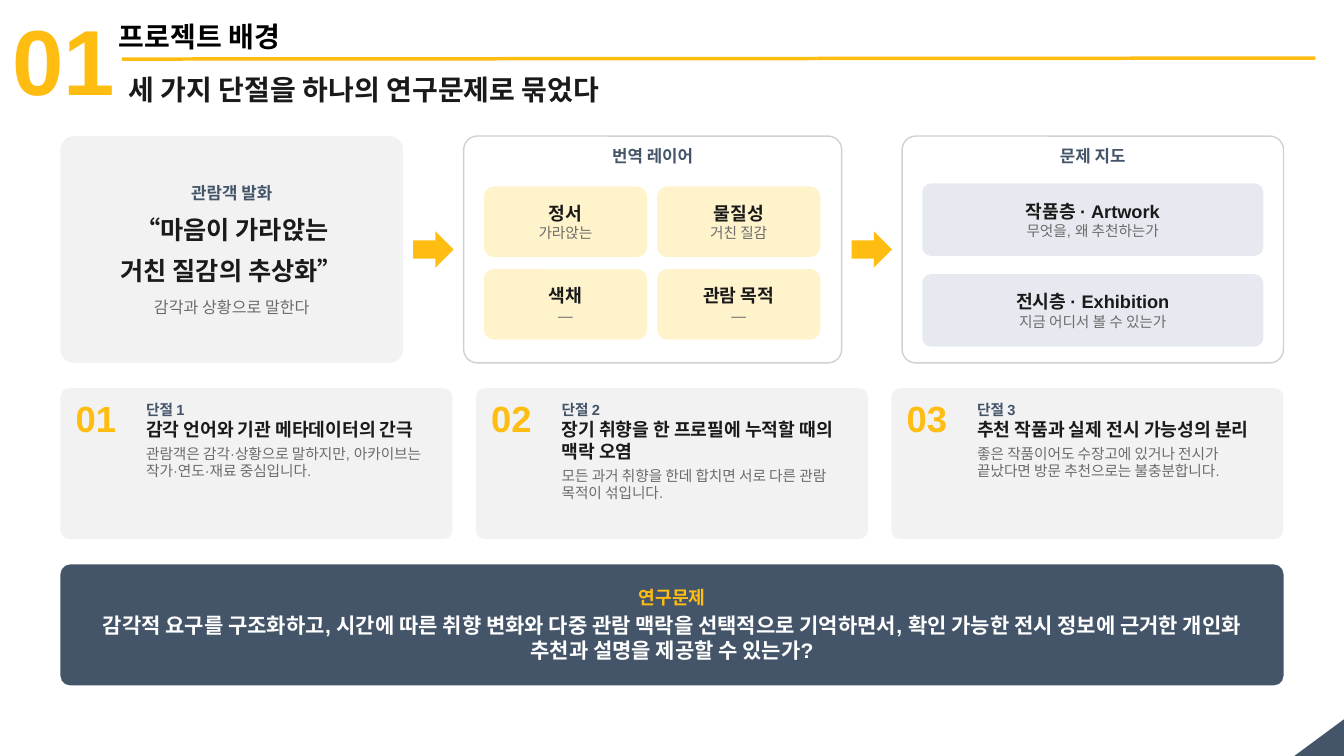
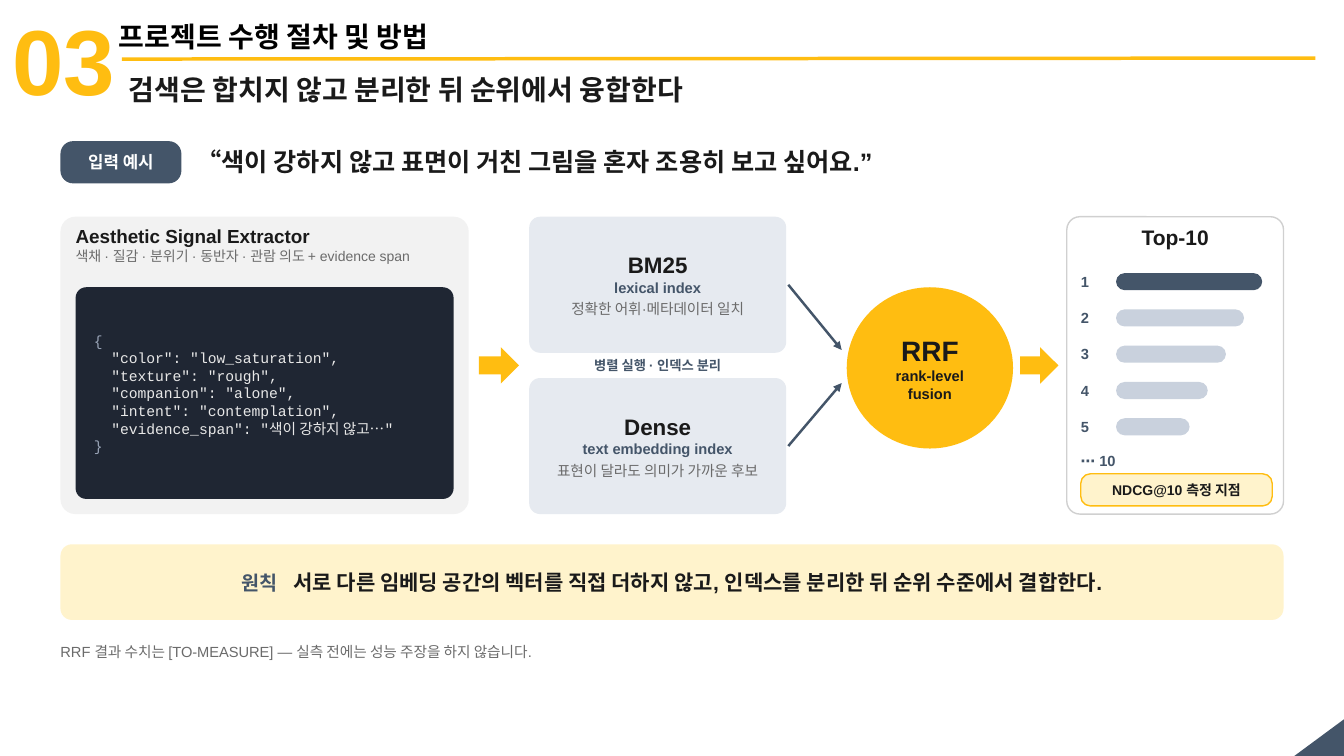
from lxml.etree import SubElement
from pptx import Presentation
from pptx.dml.color import RGBColor
from pptx.enum.shapes import MSO_CONNECTOR, MSO_SHAPE
from pptx.enum.text import MSO_ANCHOR, PP_ALIGN
from pptx.oxml.ns import qn
from pptx.util import Pt

THEME = {
    "colors": {
        "gold": "FFBD11", "navy": "445569", "ink": "1A1A1A", "black": "000000",
        "gray": "6B6B6B", "white": "FFFFFF", "panel": "F2F2F2", "border": "D0D0D0",
        "cream": "FFF3CC", "mist": "E6EAF0", "bar": "C9D1DD", "code": "1F2633",
        "brace": "9AA5B8", "code_text": "E8E8E8",
    },
    "styles": {
        "number": (66, "gold", True), "title": (20, "black", True),
        "headline": (20, "ink", True), "label": (12, "navy", True),
        "quote": (18, "ink", True), "quote_note": (11.5, "gray", False),
        "item": (13, "ink", True), "note": (10.5, "gray", False),
        "card_number": (26, "gold", True), "tag": (10.5, "navy", True),
        "question_tag": (13, "gold", True), "question": (15, "white", True),
        "pill": (12, "white", True), "extractor": (13.5, "ink", True),
        "signals": (10, "gray", False), "brace": (10.5, "brace", False),
        "code": (10.5, "code_text", False), "index": (16, "ink", True),
        "split": (9.5, "navy", True), "fusion": (10.5, "ink", True),
        "rank_title": (15, "ink", True), "metric": (10, "ink", True),
        "principle_tag": (14, "navy", True), "principle": (15, "ink", True),
    },
    "fonts": {"brace": "Courier New", "code": "Courier New"},
    "font": "Arial",
}

LEFT, WIDTH, GAP = 43.2, 873.6, 43.2
ARROW_W, ARROW_H = 28.8, 26

BACKGROUND = {
    "number": "01",
    "title": "프로젝트 배경",
    "headline": "세 가지 단절을 하나의 연구문제로 묶었다",
    "speech": [("관람객 발화", "label", 8), ("“마음이 가라앉는", "quote", 8),
               ("거친 질감의 추상화”", "quote", 8),
               ("감각과 상황으로 말한다", "quote_note")],
    "layer_title": "번역 레이어",
    "layers": [("정서", "가라앉는"), ("물질성", "거친 질감"), ("색채", "—"), ("관람 목적", "—")],
    "map_title": "문제 지도",
    "maps": [("작품층 · Artwork", "무엇을, 왜 추천하는가"),
             ("전시층 · Exhibition", "지금 어디서 볼 수 있는가")],
    "breaks": [
        ("감각 언어와 기관 메타데이터의 간극",
         "관람객은 감각·상황으로 말하지만, 아카이브는 작가·연도·재료 중심입니다."),
        ("장기 취향을 한 프로필에 누적할 때의 맥락 오염",
         "모든 과거 취향을 한데 합치면 서로 다른 관람 목적이 섞입니다."),
        ("추천 작품과 실제 전시 가능성의 분리",
         "좋은 작품이어도 수장고에 있거나 전시가 끝났다면 방문 추천으로는 불충분합니다."),
    ],
    "question": [
        ("연구문제", "question_tag", 3),
        ("감각적 요구를 구조화하고, 시간에 따른 취향 변화와 다중 관람 맥락을 선택적으로 기억하면서, "
         "확인 가능한 전시 정보에 근거한 개인화 추천과 설명을 제공할 수 있는가?", "question"),
    ],
}

METHOD = {
    "number": "03",
    "title": "프로젝트 수행 절차 및 방법",
    "headline": "검색은 합치지 않고 분리한 뒤 순위에서 융합한다",
    "input_tag": "입력 예시",
    "input": "“색이 강하지 않고 표면이 거친 그림을 혼자 조용히 보고 싶어요.”",
    "extractor": [("Aesthetic Signal Extractor", "extractor"),
                  ("색채 · 질감 · 분위기 · 동반자 · 관람 의도 + evidence span", "signals")],
    "code": [("{", "brace"),
             ('  "color": "low_saturation",', "code"),
             ('  "texture": "rough",', "code"),
             ('  "companion": "alone",', "code"),
             ('  "intent": "contemplation",', "code"),
             ('  "evidence_span": "색이 강하지 않고…"', "code"),
             ("}", "brace")],
    "indexes": [("BM25", "lexical index", "정확한 어휘·메타데이터 일치"),
                ("Dense", "text embedding index", "표현이 달라도 의미가 가까운 후보")],
    "split": "병렬 실행 · 인덱스 분리",
    "fusion": [("RRF", "headline"), ("rank-level", "fusion"), ("fusion", "fusion")],
    "rank_title": "Top-10",
    "ranks": 5,
    "rank_end": "⋯ 10",
    "metric": "NDCG@10 측정 지점",
    "principle": [("원칙", "principle_tag"), (" ", "principle_tag", 8),
                  ("서로 다른 임베딩 공간의 벡터를 직접 더하지 않고, "
                   "인덱스를 분리한 뒤 순위 수준에서 결합한다.", "principle")],
    "footnote": "RRF 결과 수치는 [TO-MEASURE] — 실측 전에는 성능 주장을 하지 않습니다.",
}


def color(name):
    return RGBColor.from_string(THEME["colors"][name])


def add_run(p, text, style, spacing=0):
    size, tone, bold = THEME["styles"][style]
    r = p.add_run()
    r.text = text
    font = {"size": Pt(size), "bold": bold, "name": THEME["fonts"].get(style, THEME["font"])}
    for key, value in font.items():
        setattr(r.font, key, value)
    r.font.color.rgb = color(tone)
    if spacing:
        r.font._element.set("spc", str(spacing * 100))


def write(sp, paras, align, anchor, inset):
    tf = sp.text_frame
    frame = {"word_wrap": True, "vertical_anchor": anchor, "margin_left": Pt(inset),
             "margin_right": Pt(inset), "margin_top": Pt(2), "margin_bottom": Pt(2)}
    for key, value in frame.items():
        setattr(tf, key, value)
    for i, (content, style, *after) in enumerate(paras):
        p = tf.paragraphs[0] if i == 0 else tf.add_paragraph()
        p.alignment = align
        p.space_after = Pt(after[0] if after else 0)
        for run in content if isinstance(content, list) else [(content, style)]:
            add_run(p, *run)


def box(s, x, y, w, h, fill, paras=(), radius=None, line=None, kind=MSO_SHAPE.ROUNDED_RECTANGLE,
        align=PP_ALIGN.CENTER, inset=4):
    sp = s.shapes.add_shape(kind, Pt(x), Pt(y), Pt(w), Pt(h))
    sp.shadow.inherit = False
    sp.fill.solid()
    sp.fill.fore_color.rgb = color(fill)
    if line:
        sp.line.color.rgb = color(line)
        sp.line.width = Pt(1)
    else:
        sp.line.fill.background()
    if radius is not None:
        sp.adjustments[0] = radius
    write(sp, paras, align, MSO_ANCHOR.MIDDLE, inset)
    return sp


def label(s, x, y, w, h, paras, align=PP_ALIGN.LEFT, anchor=MSO_ANCHOR.TOP):
    sp = s.shapes.add_textbox(Pt(x), Pt(y), Pt(w), Pt(h))
    write(sp, paras, align, anchor, 0)


def connect(s, x1, y1, x2, y2, tone, width, head=False):
    c = s.shapes.add_connector(MSO_CONNECTOR.STRAIGHT, Pt(x1), Pt(y1), Pt(x2), Pt(y2))
    c.line.color.rgb = color(tone)
    c.line.width = Pt(width)
    if head:
        SubElement(c.line._get_or_add_ln(), qn("a:tailEnd"), type="triangle")
    SubElement(c._element.spPr, qn("a:effectLst"))


def flow_arrow(s, x, middle, w=ARROW_W):
    box(s, x, middle - ARROW_H / 2, w, ARROW_H, "gold", kind=MSO_SHAPE.RIGHT_ARROW)


def new_slide(prs, data):
    s = prs.slides.add_slide(prs.slide_layouts[6])
    corner = box(s, 928.8, 509, 26.6, 36, "navy", kind=MSO_SHAPE.RIGHT_TRIANGLE)
    corner.rotation = 270
    label(s, 8.6, 0, 82, 84, [(data["number"], "number")])
    label(s, 85, 11.7, 490, 28, [(data["title"], "title")])
    connect(s, 87, 42.2, 939.6, 41.5, "gold", 2.5)
    label(s, 92, 50, 840, 28, [(data["headline"], "headline")])
    return s


def background_slide(prs, data):
    s = new_slide(prs, data)
    top, height = 97.2, 162
    widths = [244.8, 270, 272.4]
    speech_x, layer_x, map_x = [LEFT + sum(widths[:i]) + GAP * i for i in range(3)]
    box(s, speech_x, top, widths[0], height, "panel", data["speech"], 0.06)
    for x, w, title in ((layer_x, widths[1], data["layer_title"]),
                        (map_x, widths[2], data["map_title"])):
        flow_arrow(s, x - (GAP + ARROW_W) / 2, top + height / 2)
        box(s, x, top, w, height, "white", radius=0.06, line="border")
        label(s, x, top + 5, w, 25, [(title, "label")], PP_ALIGN.CENTER)
    for i, (name, note) in enumerate(data["layers"]):
        row, col = divmod(i, 2)
        box(s, layer_x + 14.4 + col * 123.8, 133.2 + row * 59, 116.6, 50.4, "cream",
            [(name, "item"), (note, "note")], 0.15, inset=2)
    for i, (name, note) in enumerate(data["maps"]):
        box(s, map_x + 14.4, 131 + i * 64.8, widths[2] - 28.8, 51.8, "mist",
            [(name, "item"), (note, "note")], 0.12)

    card_gap, card_top = 16.8, 277.2
    card_w = (WIDTH - 2 * card_gap) / 3
    for i, (name, note) in enumerate(data["breaks"]):
        x = LEFT + i * (card_w + card_gap)
        box(s, x, card_top, card_w, 108, "panel", radius=0.06)
        label(s, x + 10.8, card_top + 3.6, 50, 50, [(f"{i + 1:02}", "card_number")])
        label(s, x + 61.2, card_top + 7.2, 212.4, 97,
              [(f"단절 {i + 1}", "tag"), (name, "item", 3), (note, "note")])
    box(s, LEFT, 403.2, WIDTH, 86.4, "navy", data["question"], 0.08, inset=21.6)


def method_slide(prs, data):
    s = new_slide(prs, data)
    box(s, LEFT, 100.8, 86.4, 30.2, "navy", [(data["input_tag"], "pill")], 0.3)
    label(s, 140.4, 95.8, 770, 39.6, [(data["input"], "quote")], anchor=MSO_ANCHOR.MIDDLE)

    top, height = 154.8, 212.4
    middle = top + height / 2
    extractor_w, index_w, index_h = 291.6, 183.6, 97.2
    index_x = LEFT + extractor_w + GAP
    box(s, LEFT, top, extractor_w, height, "panel", radius=0.05)
    label(s, LEFT + 10.8, top + 3.6, 273.6, 39.6, data["extractor"])
    box(s, LEFT + 10.8, 205.2, extractor_w - 21.6, 151.2, "code", data["code"], 0.05,
        align=PP_ALIGN.LEFT, inset=10.8)
    flow_arrow(s, index_x - (GAP + ARROW_W) / 2, middle)

    tips = [250, 273.6]
    for i, (name, kind, note) in enumerate(data["indexes"]):
        y = top + i * (height - index_h)
        box(s, index_x, y, index_w, index_h, "mist",
            [(name, "index"), (kind, "tag", 3), (note, "note")], 0.08)
        connect(s, index_x + index_w + 1.5, y + index_h / 2, 601.2, tips[i], "navy", 1.75, True)
    label(s, index_x, middle - 11, index_w, 21.6, [(data["split"], "split")],
          PP_ALIGN.CENTER, MSO_ANCHOR.MIDDLE)
    box(s, 604.8, 205.2, 118.8, 115.2, "gold", data["fusion"], kind=MSO_SHAPE.OVAL, inset=0)
    flow_arrow(s, 728.6, middle, 27.4)

    rank_w = 154.8
    rank_x = LEFT + WIDTH - rank_w
    inner_x = rank_x + 10
    box(s, rank_x, top, rank_w, height, "white", radius=0.06, line="border")
    label(s, rank_x, top + 3.6, rank_w, 27.4, [(data["rank_title"], "rank_title")],
          PP_ALIGN.CENTER)
    for i in range(data["ranks"]):
        y = 190.8 + i * 25.92
        label(s, inner_x, y, 25.2, 20.2, [(str(i + 1), "tag")], anchor=MSO_ANCHOR.MIDDLE)
        box(s, inner_x + 25.2, y + 4.3, 104.4 - i * 12.96, 12.2, "bar" if i else "navy",
            radius=0.5)
    label(s, inner_x, 320.4, 136.8, 18, [(data["rank_end"], "tag")])
    box(s, inner_x, 338.4, 136.8, 23, "cream", [(data["metric"], "metric")], 0.3, "gold")

    box(s, LEFT, 388.8, WIDTH, 54, "cream", [(data["principle"], "principle")], 0.15, inset=14.4)
    label(s, LEFT, 457.2, WIDTH, 25.2, [(data["footnote"], "note")])


def main():
    prs = Presentation()
    prs.slide_width, prs.slide_height = Pt(960), Pt(540)
    background_slide(prs, BACKGROUND)
    method_slide(prs, METHOD)
    prs.save("out.pptx")


if __name__ == "__main__":
    main()
